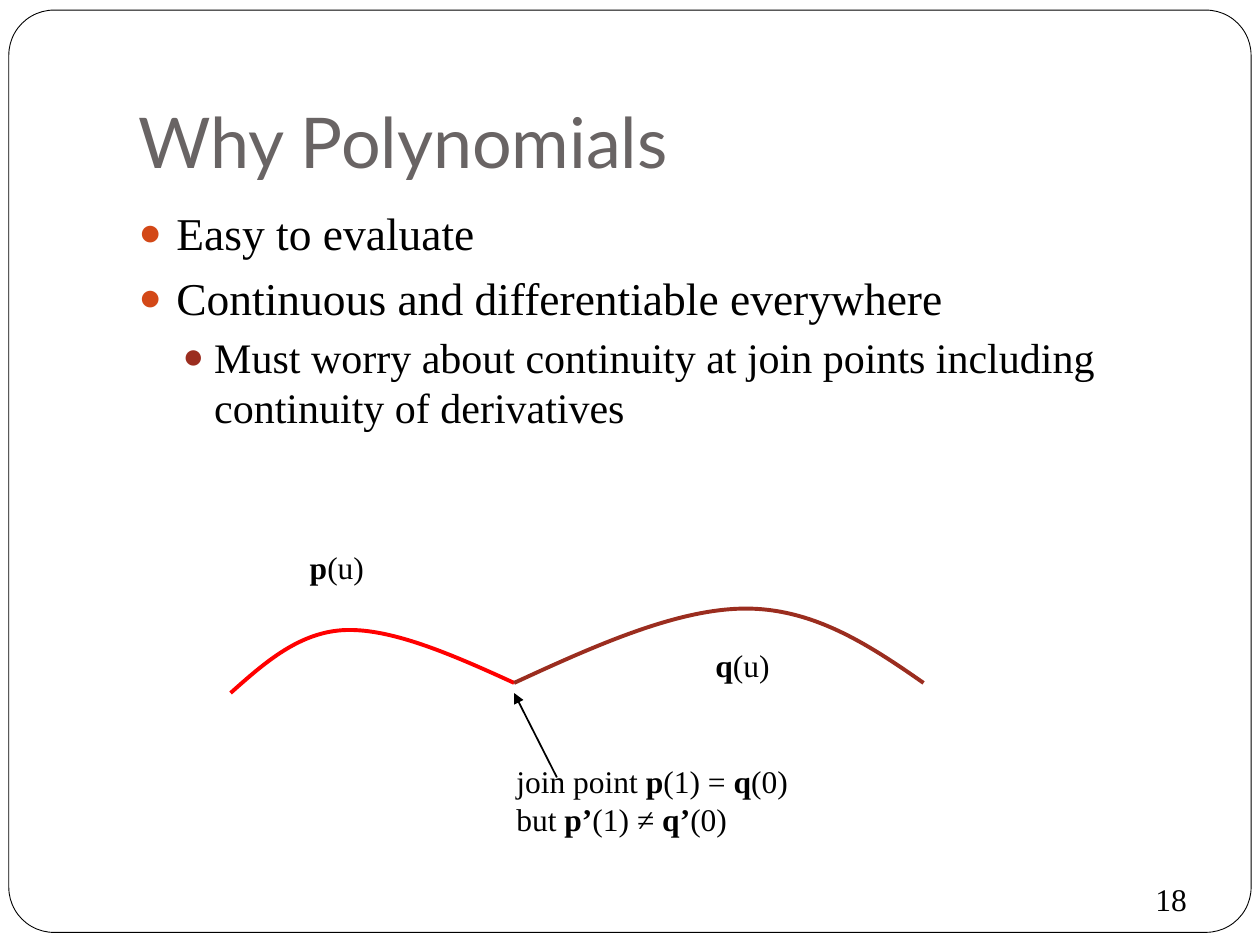
from dataclasses import dataclass

from lxml import etree
from pptx import Presentation
from pptx.dml.color import RGBColor
from pptx.enum.shapes import MSO_CONNECTOR, MSO_SHAPE
from pptx.enum.text import MSO_ANCHOR, MSO_AUTO_SIZE, PP_ALIGN
from pptx.oxml.ns import qn
from pptx.util import Inches, Pt


@dataclass(frozen=True)
class Theme:
    title_font: str = "Lato"
    text_font: str = "Times New Roman"
    paper: str = "FFFFFF"
    ink: str = "000000"
    title: str = "696464"
    bullet: str = "D34817"
    sub_bullet: str = "9B2D1F"
    first_curve: str = "FF0000"
    second_curve: str = "9B2D1F"
    title_size: int = 40
    body_size: int = 26
    sub_size: int = 24
    label_size: int = 18


THEME = Theme()
BULLETS = [
    (0, "Easy to evaluate"),
    (0, "Continuous and differentiable everywhere"),
    (1, "Must worry about continuity at join points including "
        "continuity of derivatives"),
]
# size, space before, left indent, hanging indent, bullet colour
LEVELS = [
    (THEME.body_size, 5.8, 0.3, 0.3, THEME.bullet),
    (THEME.sub_size, 3.7, 0.6, 0.25, THEME.sub_bullet),
]


def color(value):
    return RGBColor.from_string(value)


def set_all(target, values):
    for name, value in values.items():
        setattr(target, name, value)


def box(left, top, width, height):
    names = ("left", "top", "width", "height")
    return dict(zip(names, map(Inches, (left, top, width, height))))


def add_run(paragraph, text, size, bold=False, font=THEME.text_font, ink=THEME.ink):
    run = paragraph.add_run()
    run.text = text
    set_all(run.font, {"name": font, "size": Pt(size), "bold": bold})
    run.font.color.rgb = color(ink)


def set_line(shape, ink, width):
    shape.line.color.rgb = color(ink)
    shape.line.width = Pt(width)


def set_bullet(paragraph, left, hanging, ink):
    properties = paragraph._p.get_or_add_pPr()
    properties.set("marL", str(Inches(left)))
    properties.set("indent", str(-Inches(hanging)))
    bullet_color = etree.SubElement(properties, qn("a:buClr"))
    etree.SubElement(bullet_color, qn("a:srgbClr"), val=ink)
    etree.SubElement(properties, qn("a:buSzPct"), val="85000")
    etree.SubElement(properties, qn("a:buFont"), typeface=THEME.text_font)
    etree.SubElement(properties, qn("a:buChar"), char="●")


def add_frame(slide, place):
    frame = slide.shapes.add_shape(MSO_SHAPE.ROUNDED_RECTANGLE, **place)
    frame.adjustments[0] = 0.049
    frame.shadow.inherit = False
    frame.fill.solid()
    frame.fill.fore_color.rgb = color(THEME.paper)
    set_line(frame, THEME.ink, 0.5)
    # The frame lies behind the placeholders
    slide.shapes._spTree.insert(2, frame._element)


def fill_title(slide, place, text):
    title = slide.shapes.title
    set_all(title, place)
    set_all(title.text_frame, {
        "vertical_anchor": MSO_ANCHOR.BOTTOM,
        "auto_size": MSO_AUTO_SIZE.NONE,
        "margin_bottom": Inches(0.1),
    })
    paragraph = title.text_frame.paragraphs[0]
    paragraph.alignment = PP_ALIGN.LEFT
    add_run(paragraph, text, THEME.title_size, font=THEME.title_font, ink=THEME.title)


def fill_body(slide, place, bullets):
    body = slide.placeholders[1]
    set_all(body, place)
    frame = body.text_frame
    frame.auto_size = MSO_AUTO_SIZE.NONE
    for index, (level, text) in enumerate(bullets):
        paragraph = frame.add_paragraph() if index else frame.paragraphs[0]
        size, space, left, hanging, ink = LEVELS[level]
        set_all(paragraph, {"level": level, "space_before": Pt(space)})
        set_bullet(paragraph, left, hanging, ink)
        add_run(paragraph, text, size)


def add_label(slide, place, lines):
    """Add a text box; asterisks in a line switch bold on and off."""
    frame = slide.shapes.add_textbox(**place).text_frame
    set_all(frame, {"word_wrap": False, "auto_size": MSO_AUTO_SIZE.SHAPE_TO_FIT_TEXT})
    for index, line in enumerate(lines):
        paragraph = frame.add_paragraph() if index else frame.paragraphs[0]
        for part, text in enumerate(line.split("*")):
            if text:
                add_run(paragraph, text, THEME.label_size, bold=part % 2 == 1)


def add_curve(slide, points, ink):
    """Draw cubic Bézier pieces: a start, then three points for each piece."""
    corners = [(Inches(x), Inches(y)) for x, y in points]
    builder = slide.shapes.build_freeform(*corners[0])
    builder.add_line_segments(corners[1:], close=False)
    curve = builder.convert_to_shape()
    segments = list(curve._element.iter(qn("a:lnTo")))
    for start in range(0, len(segments), 3):
        piece = etree.Element(qn("a:cubicBezTo"))
        segments[start].addprevious(piece)
        for segment in segments[start:start + 3]:
            piece.append(segment[0])
            segment.getparent().remove(segment)
    curve.shadow.inherit = False
    curve.fill.background()
    set_line(curve, ink, 2.25)


def add_arrow(slide, start, end):
    arrow = slide.shapes.add_connector(
        MSO_CONNECTOR.STRAIGHT, *map(Inches, start + end))
    set_line(arrow, THEME.ink, 1)
    etree.SubElement(arrow.line._get_or_add_ln(), qn("a:tailEnd"), type="triangle")
    etree.SubElement(arrow._element.spPr, qn("a:effectLst"))


def add_diagram(slide, left, top):
    """Draw two curves that meet at a join point, with their labels."""
    def at(x, y):
        return left + x, top + y

    join = (2.25, 0.59)
    first = [(0, 0.67), (0.27, 0.43), (0.55, 0.18), (0.92, 0.17),
             (1.29, 0.16), (1.77, 0.37), join]
    second = [join, (2.9, 0.29), (3.55, 0), (4.09, 0),
              (4.63, 0), (5.07, 0.29), (5.5, 0.59)]
    for points, ink in ((first, THEME.first_curve), (second, THEME.second_curve)):
        add_curve(slide, [at(*point) for point in points], ink)
    add_label(slide, box(*at(0.53, -0.53), 0.78, 0.5), ["*p*(u)"])
    add_label(slide, box(*at(3.75, 0.25), 0.78, 0.5), ["*q*(u)"])
    add_arrow(slide, at(2.59, 1.34), at(2.25, 0.67))
    add_label(slide, box(*at(2.17, 1.17), 3.07, 0.9),
              ["join point *p*(1) = *q*(0)", "but *p’*(1) ≠ *q’*(0)"])


def add_page_number(slide, place, number):
    frame = slide.shapes.add_textbox(**place).text_frame
    margins = ("margin_left", "margin_top", "margin_right", "margin_bottom")
    set_all(frame, dict.fromkeys(margins, 0))
    set_all(frame, {"word_wrap": True, "vertical_anchor": MSO_ANCHOR.MIDDLE})
    paragraph = frame.paragraphs[0]
    paragraph.alignment = PP_ALIGN.RIGHT
    add_run(paragraph, number, THEME.label_size)


def main():
    presentation = Presentation()
    set_all(presentation, {"slide_width": Inches(10), "slide_height": Inches(7.5)})
    slide = presentation.slides.add_slide(presentation.slide_layouts[1])
    add_frame(slide, box(0.07, 0.08, 9.86, 7.32))
    fill_title(slide, box(1, 0.3, 8.5, 1.25), "Why Polynomials")
    fill_body(slide, box(1, 1.58, 8.5, 5), BULLETS)
    add_diagram(slide, 1.83, 4.83)
    add_page_number(slide, box(8.83, 6.92, 0.59, 0.42), "18")
    presentation.save("out.pptx")


if __name__ == "__main__":
    main()
